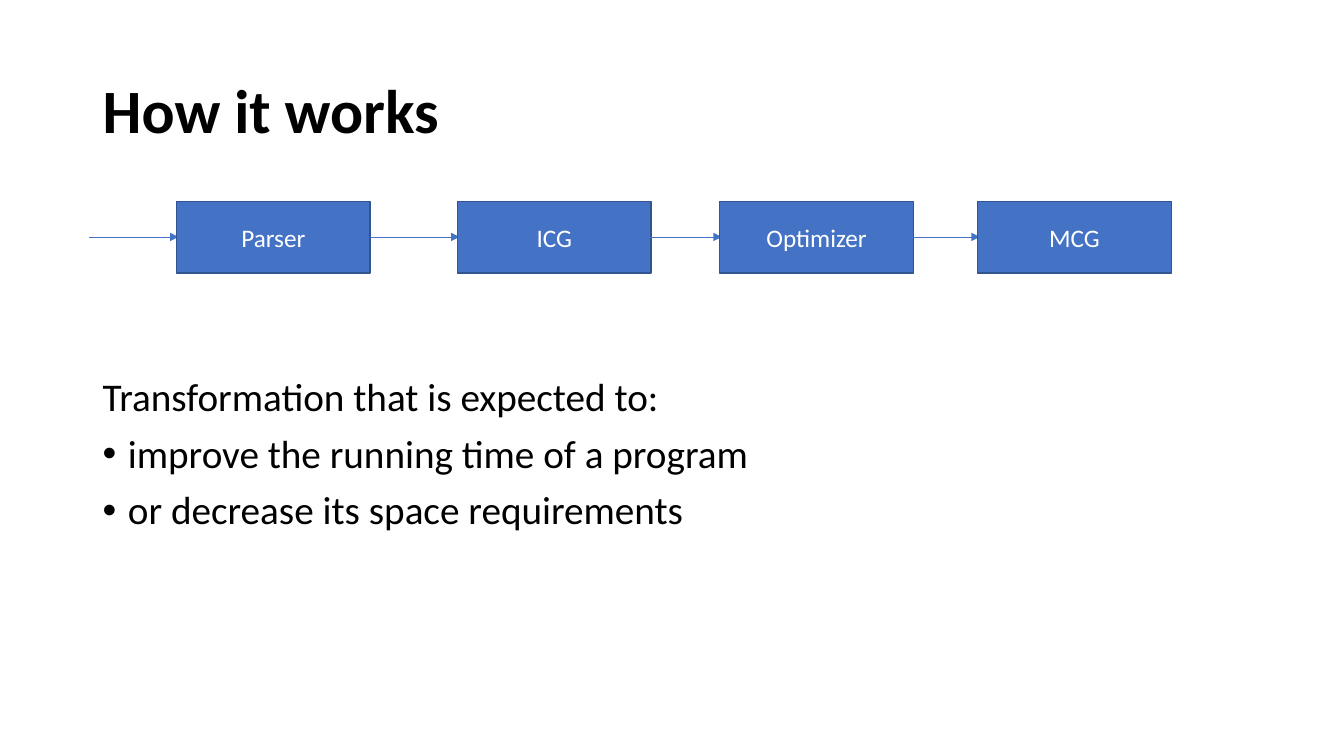
from lxml import etree
from pptx import Presentation
from pptx.dml.color import RGBColor
from pptx.enum.shapes import MSO_CONNECTOR, MSO_SHAPE
from pptx.enum.text import MSO_ANCHOR, PP_ALIGN
from pptx.oxml.ns import qn
from pptx.util import Cm, Pt

RECTANGLE = MSO_SHAPE.RECTANGLE
STRAIGHT = MSO_CONNECTOR.STRAIGHT
TOP, MIDDLE = MSO_ANCHOR.TOP, MSO_ANCHOR.MIDDLE
LEFT, CENTER = PP_ALIGN.LEFT, PP_ALIGN.CENTER

STAGES = [("Parser", 4.45), ("ICG", 11.53), ("Optimizer", 18.14), ("MCG", 24.64)]
STAGE_TOP, STAGE_WIDTH, STAGE_HEIGHT = 5.08, 4.88, 1.8
ARROW_Y, ARROW_LENGTH, ARROW_OVERLAP = 5.97, 2.25, 0.05
MARGIN, CONTENT_WIDTH = 2.34, 29.21


def color(hex_string):
    return RGBColor.from_string(hex_string)


def write(para, text, *, font, size, ink="000000", bold=False, align=LEFT,
          spacing=1.0, before=0, bullet=False):
    para.alignment = align
    para.line_spacing = spacing
    para.space_before = Pt(before)
    if bullet:
        properties = para._p.get_or_add_pPr()
        properties.set("marL", str(Cm(0.635)))
        properties.set("indent", str(Cm(-0.635)))
        etree.SubElement(properties, qn("a:buFont"), typeface="Arial")
        etree.SubElement(properties, qn("a:buChar"), char="•")
    span = para.add_run()
    span.text = text
    span.font.name = font
    span.font.size = Pt(size)
    span.font.bold = bold
    span.font.color.rgb = color(ink)


class Diagram:
    font = "Calibri"
    accent = "4472C4"
    outline = "325491"

    def __init__(self, slide):
        self.slide = slide

    def text_box(self, top, height, lines, anchor=TOP):
        """Add a full-width box; lines holds (text, format) pairs."""
        box = self.slide.shapes.add_textbox(
            Cm(MARGIN), Cm(top), Cm(CONTENT_WIDTH), Cm(height))
        frame = box.text_frame
        frame.word_wrap = True
        frame.vertical_anchor = anchor
        for index, (text, style) in enumerate(lines):
            para = frame.add_paragraph() if index else frame.paragraphs[0]
            write(para, text, font=self.font, spacing=0.9, **style)

    def stage(self, label, left):
        box = self.slide.shapes.add_shape(
            RECTANGLE, Cm(left), Cm(STAGE_TOP), Cm(STAGE_WIDTH), Cm(STAGE_HEIGHT))
        box.shadow.inherit = False
        box.fill.solid()
        box.fill.fore_color.rgb = color(self.accent)
        box.line.color.rgb = color(self.outline)
        box.line.width = Pt(1)
        box.text_frame.vertical_anchor = MIDDLE
        write(box.text_frame.paragraphs[0], label, font=self.font, size=18,
              ink="FFFFFF", align=CENTER)

    def arrow(self, start, end, y):
        connector = self.slide.shapes.add_connector(
            STRAIGHT, Cm(start), Cm(y), Cm(end), Cm(y))
        connector.line.color.rgb = color(self.accent)
        connector.line.width = Pt(0.5)
        etree.SubElement(connector.line._get_or_add_ln(), qn("a:tailEnd"), type="triangle")
        etree.SubElement(connector._element.spPr, qn("a:effectLst"))


def main():
    deck = Presentation()
    deck.slide_width, deck.slide_height = Cm(33.87), Cm(19.05)
    diagram = Diagram(deck.slides.add_slide(deck.slide_layouts[6]))

    diagram.text_box(1.02, 3.68, [("How it works", {"size": 44, "bold": True})], MIDDLE)
    item = {"size": 28, "before": 10, "bullet": True}
    diagram.text_box(9.4, 7.77, [
        ("Transformation that is expected to:", {"size": 28}),
        ("improve the running time of a program", item),
        ("or decrease its space requirements", item),
    ])
    for label, left in STAGES:
        tip = left + ARROW_OVERLAP
        diagram.arrow(tip - ARROW_LENGTH, tip, ARROW_Y)
        diagram.stage(label, left)

    deck.save("out.pptx")


if __name__ == "__main__":
    main()
